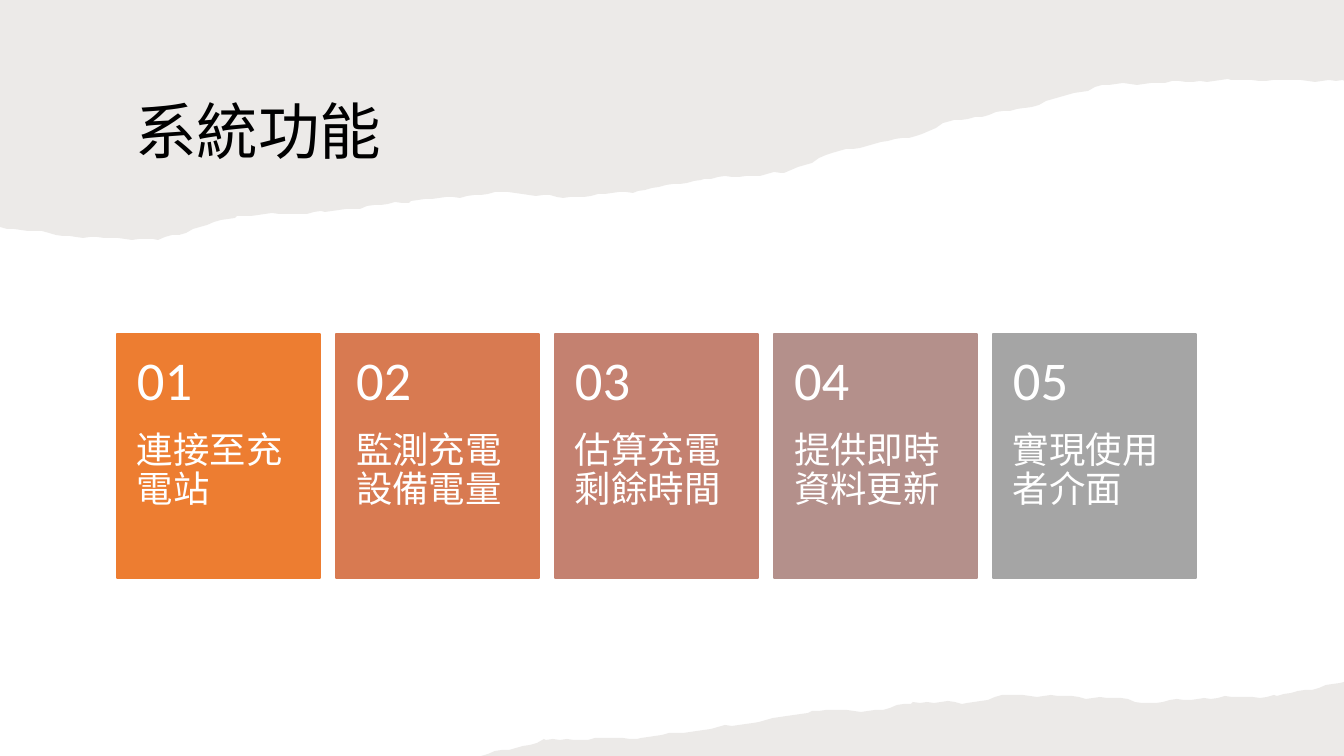
from itertools import pairwise
from math import sin

from lxml import etree
from pptx import Presentation
from pptx.dml.color import RGBColor
from pptx.enum.shapes import MSO_SHAPE
from pptx.enum.text import MSO_ANCHOR, PP_ALIGN
from pptx.oxml.ns import qn
from pptx.util import Emu, Pt

RECTANGLE = MSO_SHAPE.RECTANGLE
TOP, MIDDLE = MSO_ANCHOR.TOP, MSO_ANCHOR.MIDDLE
LEFT = PP_ALIGN.LEFT

PX = 914400 / 100.8
PAGE_WIDTH, PAGE_HEIGHT = 1344, 756

BLACK = RGBColor(0x00, 0x00, 0x00)
WHITE = RGBColor(0xFF, 0xFF, 0xFF)
TAUPE = RGBColor(0x82, 0x76, 0x6A)
ORANGE = RGBColor(0xED, 0x7D, 0x31)
RUST = RGBColor(0xD8, 0x7A, 0x51)
ROSE = RGBColor(0xC4, 0x81, 0x70)
MAUVE = RGBColor(0xB4, 0x90, 0x8B)
GRAY = RGBColor(0xA5, 0xA5, 0xA5)
PAPER_OPACITY = 15

TITLE_STYLE = {"name": "Noto Sans CJK TC", "size": Pt(44)}
NUMBER_STYLE = {"name": "Calibri", "size": Pt(39)}
FEATURE_STYLE = {"name": "Calibri", "size": Pt(26)}

TITLE_PLACE = (125, 82, 1022, 105)
TITLE_INSETS = (10, 5, 10, 5)
NUMBER_INSETS = (20, 18, 20, 18)
FEATURE_INSETS = (20, 0, 20, 36)

CARD_LEFT, CARD_TOP = 117, 334
CARD_WIDTH, CARD_HEIGHT, CARD_STEP = 203, 244, 219
NUMBER_HEIGHT = 98

FEATURES = [
    ("連接至充電站", ORANGE),
    ("監測充電設備電量", RUST),
    ("估算充電剩餘時間", ROSE),
    ("提供即時資料更新", MAUVE),
    ("實現使用者介面", GRAY),
]

# The main bends of each tear, from left to right; torn_edge adds the fibres.
UPPER_BENDS = [
    (0, 227), (76, 237), (158, 240), (237, 216), (325, 212), (411, 201),
    (508, 192), (563, 198), (638, 191), (704, 179), (784, 173), (832, 153),
    (922, 134), (947, 122), (1025, 108), (1102, 85), (1231, 80), (1344, 81),
]
LOWER_BENDS = [
    (481, 756), (546, 740), (641, 738), (759, 722), (812, 711), (883, 710),
    (913, 702), (967, 703), (1009, 695), (1114, 698), (1149, 703),
    (1204, 698), (1277, 696), (1344, 682),
]
FIBRE_STEP = 7


def px(length):
    return Emu(round(length * PX))


def torn_edge(bends):
    """Join the bends by straight runs, roughened by two small waves."""
    edge = []
    for (left, start), (right, end) in pairwise(bends):
        edge.append((left, start))
        for x in range(left + FIBRE_STEP, right, FIBRE_STEP):
            trend = start + (end - start) * (x - left) / (right - left)
            fibre = 0.8 * sin(x / 9) + 0.6 * sin(x / 4)
            edge.append((x, round(trend + fibre)))
    return edge + [bends[-1]]


class SlideWriter:
    """Holds the current slide and draws styled elements in px."""

    def __init__(self, deck, paper_color, text_color):
        self.page = deck.slides.add_slide(deck.slide_layouts[6])
        self.paper_color = paper_color
        self.text_color = text_color

    def torn_paper(self, bends, corners):
        """Fill the area between a torn edge and the page corners behind it."""
        start, *others = torn_edge(bends) + corners
        builder = self.page.shapes.build_freeform(*start, scale=PX)
        builder.add_line_segments(others, close=True)
        paper = builder.convert_to_shape()
        paper.shadow.inherit = False
        paper.fill.solid()
        paper.fill.fore_color.rgb = self.paper_color
        paper.line.fill.background()
        color = paper.fill._xPr.find(qn("a:solidFill"))[0]
        etree.SubElement(color, qn("a:alpha"), val=str(PAPER_OPACITY * 1000))

    def panel(self, place, color):
        box = self.page.shapes.add_shape(RECTANGLE, *map(px, place))
        box.shadow.inherit = False
        box.fill.solid()
        box.fill.fore_color.rgb = color
        box.line.color.rgb = color
        box.line.width = Pt(1)

    def text(self, words, place, style, anchor, insets, color=None):
        """Place is (left, top, width, height); insets are (left, top, right, bottom)."""
        frame = self.page.shapes.add_textbox(*map(px, place)).text_frame
        frame_format = {"word_wrap": True, "vertical_anchor": anchor}
        for side, inset in zip(("left", "top", "right", "bottom"), insets):
            frame_format[f"margin_{side}"] = px(inset)
        for name, value in frame_format.items():
            setattr(frame, name, value)
        para = frame.paragraphs[0]
        para.alignment = LEFT
        para.line_spacing = 0.9
        span = para.add_run()
        span.text = words
        for name, value in style.items():
            setattr(span.font, name, value)
        span.font.color.rgb = color or self.text_color
        etree.SubElement(span._r.rPr, qn("a:ea"), typeface=style["name"])

    def card(self, number, feature, left, color):
        """Draw a panel with its number above its feature."""
        feature_top = CARD_TOP + NUMBER_HEIGHT
        feature_height = CARD_HEIGHT - NUMBER_HEIGHT
        self.panel((left, CARD_TOP, CARD_WIDTH, CARD_HEIGHT), color)
        self.text(feature, (left, feature_top, CARD_WIDTH, feature_height),
                  FEATURE_STYLE, TOP, FEATURE_INSETS)
        self.text(f"{number:02}", (left, CARD_TOP, CARD_WIDTH, NUMBER_HEIGHT),
                  NUMBER_STYLE, MIDDLE, NUMBER_INSETS)


def main():
    deck = Presentation()
    deck.slide_width, deck.slide_height = px(PAGE_WIDTH), px(PAGE_HEIGHT)
    writer = SlideWriter(deck, paper_color=TAUPE, text_color=WHITE)
    writer.torn_paper(UPPER_BENDS, corners=[(PAGE_WIDTH, 0), (0, 0)])
    writer.text("系統功能", TITLE_PLACE, TITLE_STYLE, MIDDLE, TITLE_INSETS, BLACK)
    writer.torn_paper(LOWER_BENDS, corners=[(PAGE_WIDTH, PAGE_HEIGHT)])
    for index, (feature, color) in enumerate(FEATURES):
        writer.card(index + 1, feature, CARD_LEFT + index * CARD_STEP, color)
    deck.save("out.pptx")


if __name__ == "__main__":
    main()
